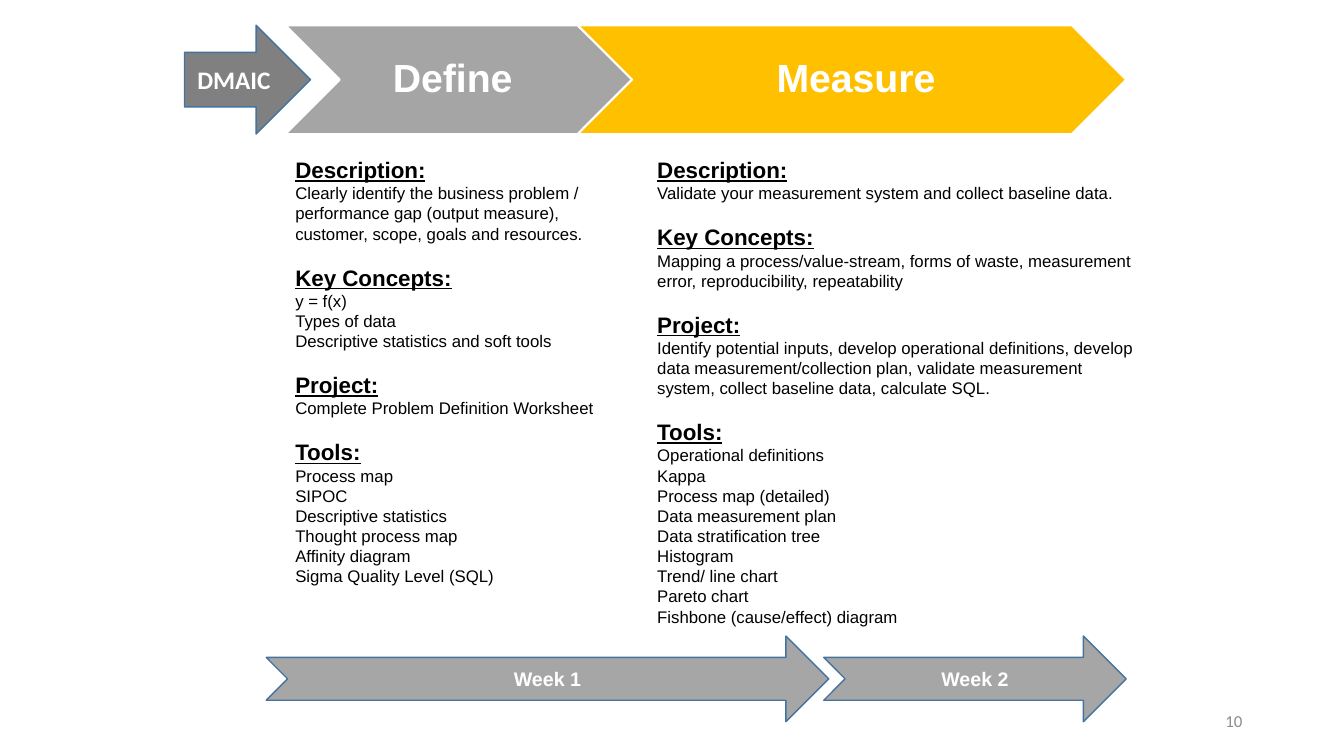
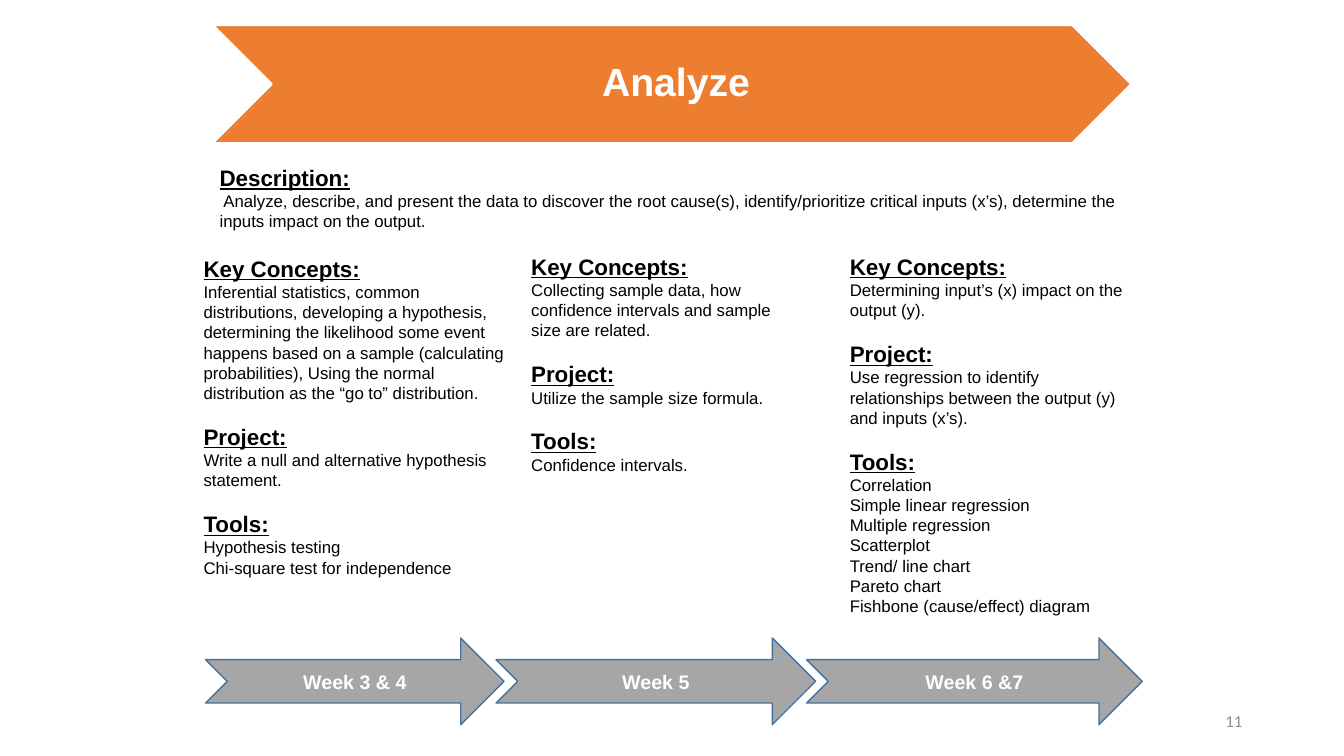
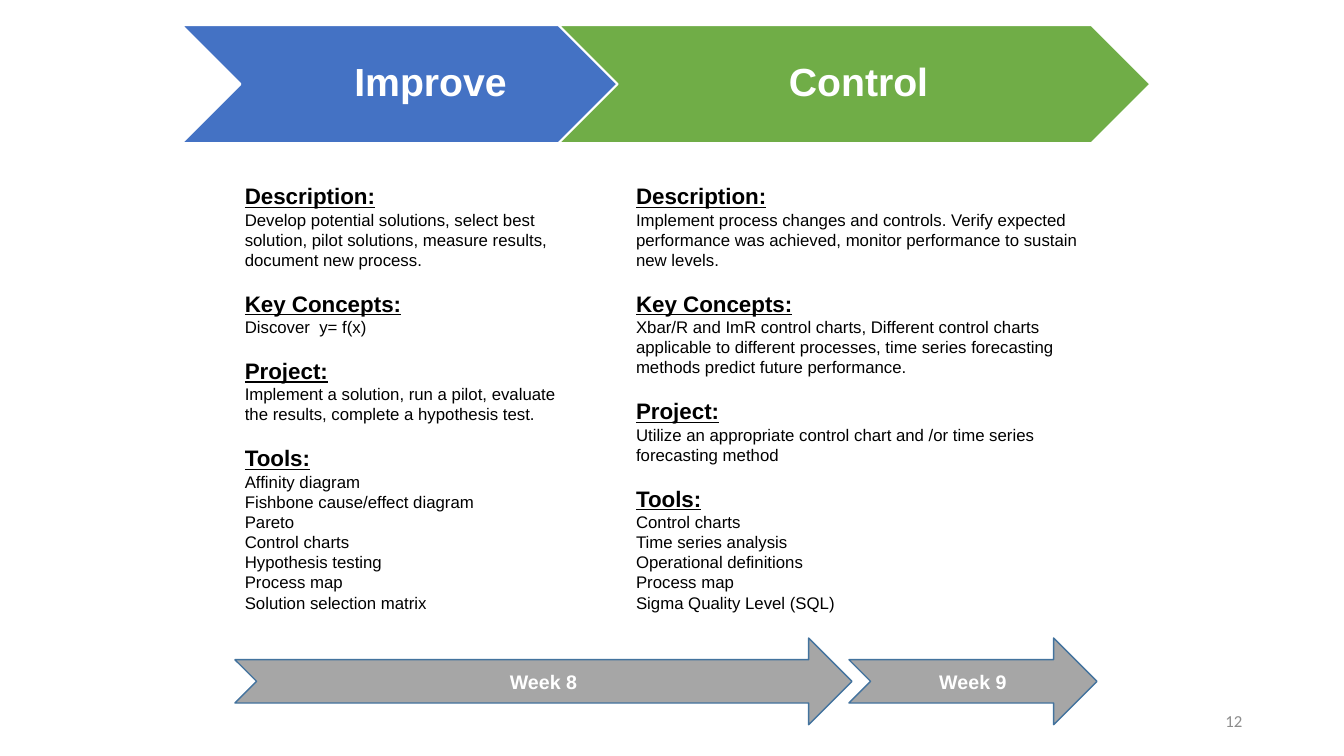
from dataclasses import dataclass

from pptx import Presentation
from pptx.dml.color import RGBColor
from pptx.enum.shapes import MSO_SHAPE
from pptx.enum.text import MSO_ANCHOR, MSO_AUTO_SIZE, PP_ALIGN
from pptx.shapes.autoshape import Shape
from pptx.slide import Slide
from pptx.text.text import _Paragraph
from pptx.util import Inches, Pt

WHITE, BLACK = "FFFFFF", "000000"
GREY, YELLOW, ORANGE = "A5A5A5", "FFC000", "ED7D31"
BLUE, GREEN = "4472C4", "70AD47"
ARROW_GREY, DARK_GREY, ARROW_LINE, NUMBER_GREY = "A6A6A6", "808080", "43739E", "8C8C8C"
BAND_TOP = 0.25
SECTION_GAP = 14.4
FIRST_NUMBER = 10


@dataclass
class Phase:
    name: str
    x: float
    w: float
    color: str
    right_inset: float = 0.04


@dataclass
class Section:
    heading: str
    lines: list[str]


@dataclass
class Column:
    x: float
    y: float
    w: float
    h: float
    sections: list[Section]


@dataclass
class Week:
    label: str
    x: float
    w: float


@dataclass
class Page:
    band_h: float
    phases: list[Phase]
    columns: list[Column]
    weeks: list[Week]
    week_y: float = 6.33
    week_h: float = 0.86
    tag: str = ""


def description(*lines: str) -> Section:
    return Section("Description:", list(lines))


def concepts(*lines: str) -> Section:
    return Section("Key Concepts:", list(lines))


def project(*lines: str) -> Section:
    return Section("Project:", list(lines))


def tools(*lines: str) -> Section:
    return Section("Tools:", list(lines))


PAGES = [
    Page(
        band_h=1.08,
        tag="DMAIC",
        phases=[
            Phase("Define", 2.83, 3.44, GREY, right_inset=0.24),
            Phase("Measure", 5.73, 5.44, YELLOW),
        ],
        columns=[
            Column(2.83, 1.5, 3.58, 4.41, [
                description("Clearly identify the business problem / performance gap "
                            "(output measure), customer, scope, goals and resources."),
                concepts("y = f(x)", "Types of data",
                         "Descriptive statistics and soft tools"),
                project("Complete Problem Definition Worksheet"),
                tools("Process map", "SIPOC", "Descriptive statistics",
                      "Thought process map", "Affinity diagram",
                      "Sigma Quality Level (SQL)"),
            ]),
            Column(6.42, 1.5, 5, 4.81, [
                description("Validate your measurement system and collect baseline data."),
                concepts("Mapping a process/value-stream, forms of waste, measurement "
                         "error, reproducibility, repeatability"),
                project("Identify potential inputs, develop operational definitions, "
                        "develop data measurement/collection plan, validate measurement "
                        "system, collect baseline data, calculate SQL."),
                tools("Operational definitions", "Kappa", "Process map (detailed)",
                      "Data measurement plan", "Data stratification tree", "Histogram",
                      "Trend/ line chart", "Pareto chart",
                      "Fishbone (cause/effect) diagram"),
            ]),
        ],
        weeks=[Week("Week 1", 2.64, 5.58), Week("Week 2", 8.17, 3)],
        week_y=6.31,
        week_h=0.85,
    ),
    Page(
        band_h=1.17,
        phases=[Phase("Analyze", 2.11, 9.11, ORANGE)],
        columns=[
            Column(2.08, 1.58, 9.17, 0.77, [
                description(" Analyze, describe, and present the data to discover the root "
                            "cause(s), identify/prioritize critical inputs (x’s), "
                            "determine the inputs impact on the output."),
            ]),
            Column(1.92, 2.48, 3.25, 3.74, [
                concepts("Inferential statistics, common distributions, developing a "
                         "hypothesis, determining the likelihood some event happens based "
                         "on a sample (calculating probabilities), Using the normal "
                         "distribution as the “go to” distribution."),
                project("Write a null and alternative hypothesis statement."),
                tools("Hypothesis testing", "Chi-square test for independence"),
            ]),
            Column(5.17, 2.46, 2.9, 2.73, [
                concepts("Collecting sample data, how confidence intervals and sample "
                         "size are related."),
                project("Utilize the sample size formula."),
                tools("Confidence intervals."),
            ]),
            Column(8.33, 2.46, 2.92, 3.74, [
                concepts("Determining input’s (x) impact on the output (y)."),
                project("Use regression to identify relationships between the output (y) "
                        "and inputs (x’s)."),
                tools("Correlation", "Simple linear regression", "Multiple regression",
                      "Scatterplot", "Trend/ line chart", "Pareto chart",
                      "Fishbone (cause/effect) diagram"),
            ]),
        ],
        weeks=[Week("Week 3 & 4", 2.04, 2.96), Week("Week 5", 4.92, 3.17),
               Week("Week 6 &7", 8, 3.33)],
    ),
    Page(
        band_h=1.17,
        phases=[Phase("Improve", 1.8, 4.86, BLUE), Phase("Control", 5.54, 5.87, GREEN)],
        columns=[
            Column(2.33, 1.76, 3.33, 4.61, [
                description("Develop potential solutions, select best solution, pilot "
                            "solutions, measure results, document new process."),
                concepts("Discover  y= f(x)"),
                project("Implement a solution, run a pilot, evaluate the results, "
                        "complete a hypothesis test."),
                tools("Affinity diagram", "Fishbone cause/effect diagram", "Pareto",
                      "Control charts", "Hypothesis testing", "Process map",
                      "Solution selection matrix"),
            ]),
            Column(6.21, 1.76, 4.72, 4.41, [
                description("Implement process changes and controls. Verify expected "
                            "performance was achieved, monitor performance to sustain "
                            "new levels."),
                concepts("Xbar/R and ImR control charts, Different control charts "
                         "applicable to different processes, time series forecasting "
                         "methods predict future performance."),
                project("Utilize an appropriate control chart and /or time series "
                        "forecasting method"),
                tools("Control charts", "Time series analysis", "Operational definitions",
                      "Process map", "Sigma Quality Level (SQL)"),
            ]),
        ],
        weeks=[Week("Week 8", 2.33, 6.12), Week("Week 9", 8.42, 2.46)],
    ),
]


def rgb(color: str) -> RGBColor:
    return RGBColor.from_string(color)


def write(p: _Paragraph, text: str, size: float, color: str = BLACK,
          bold: bool = False, font: str = "Arial") -> None:
    p.text = text
    p.font.name, p.font.size, p.font.bold = font, Pt(size), bold
    p.font.color.rgb = rgb(color)


def add_label_shape(s: Slide, kind: MSO_SHAPE, x: float, y: float, w: float, h: float,
                    fill: str, line: str, line_w: float, text: str, size: float,
                    font: str = "Arial") -> Shape:
    """Add a filled shape with a centred bold white label."""
    sp = s.shapes.add_shape(kind, Inches(x), Inches(y), Inches(w), Inches(h))
    sp.shadow.inherit = False
    sp.fill.solid()
    sp.fill.fore_color.rgb = rgb(fill)
    sp.line.color.rgb = rgb(line)
    sp.line.width = Pt(line_w)
    tf = sp.text_frame
    tf.vertical_anchor = MSO_ANCHOR.MIDDLE
    p = tf.paragraphs[0]
    p.alignment = PP_ALIGN.CENTER
    write(p, text, size, WHITE, True, font)
    return sp


def add_phase(s: Slide, phase: Phase, h: float) -> None:
    sp = add_label_shape(s, MSO_SHAPE.CHEVRON, phase.x, BAND_TOP, phase.w, h,
                         phase.color, WHITE, 1.5, phase.name, 28)
    tf = sp.text_frame
    tf.margin_left, tf.margin_right = Inches(0.12), Inches(phase.right_inset)
    tf.margin_top = tf.margin_bottom = Inches(0.04)
    tf.paragraphs[0].line_spacing = 0.9


def add_column(s: Slide, col: Column) -> None:
    tf = s.shapes.add_textbox(Inches(col.x), Inches(col.y),
                              Inches(col.w), Inches(col.h)).text_frame
    tf.word_wrap = True
    tf.auto_size = MSO_AUTO_SIZE.SHAPE_TO_FIT_TEXT
    for i, section in enumerate(col.sections):
        p = tf.add_paragraph() if i else tf.paragraphs[0]
        write(p, section.heading, 16, bold=True)
        p.font.underline = True
        if i:
            p.space_before = Pt(SECTION_GAP)
        for line in section.lines:
            write(tf.add_paragraph(), line, 12)


def add_number(s: Slide, number: int) -> None:
    tf = s.shapes.add_textbox(Inches(9.42), Inches(6.95), Inches(3), Inches(0.4)).text_frame
    tf.word_wrap = True
    tf.vertical_anchor = MSO_ANCHOR.MIDDLE
    p = tf.paragraphs[0]
    p.alignment = PP_ALIGN.RIGHT
    write(p, str(number), 12, NUMBER_GREY, font="Calibri")


def add_page(s: Slide, page: Page, number: int) -> None:
    for phase in page.phases:
        add_phase(s, phase, page.band_h)
    for col in page.columns:
        add_column(s, col)
    if page.tag:
        add_label_shape(s, MSO_SHAPE.RIGHT_ARROW, 1.83, BAND_TOP, 1.25, page.band_h,
                        DARK_GREY, ARROW_LINE, 1, page.tag, 18, "Calibri")
    for week in page.weeks:
        add_label_shape(s, MSO_SHAPE.NOTCHED_RIGHT_ARROW, week.x, page.week_y, week.w,
                        page.week_h, ARROW_GREY, ARROW_LINE, 1, week.label, 14)
    add_number(s, number)


def main() -> None:
    prs = Presentation()
    prs.slide_width, prs.slide_height = Inches(13.33), Inches(7.5)
    for number, page in enumerate(PAGES, FIRST_NUMBER):
        add_page(prs.slides.add_slide(prs.slide_layouts[6]), page, number)
    prs.save("out.pptx")


if __name__ == "__main__":
    main()
